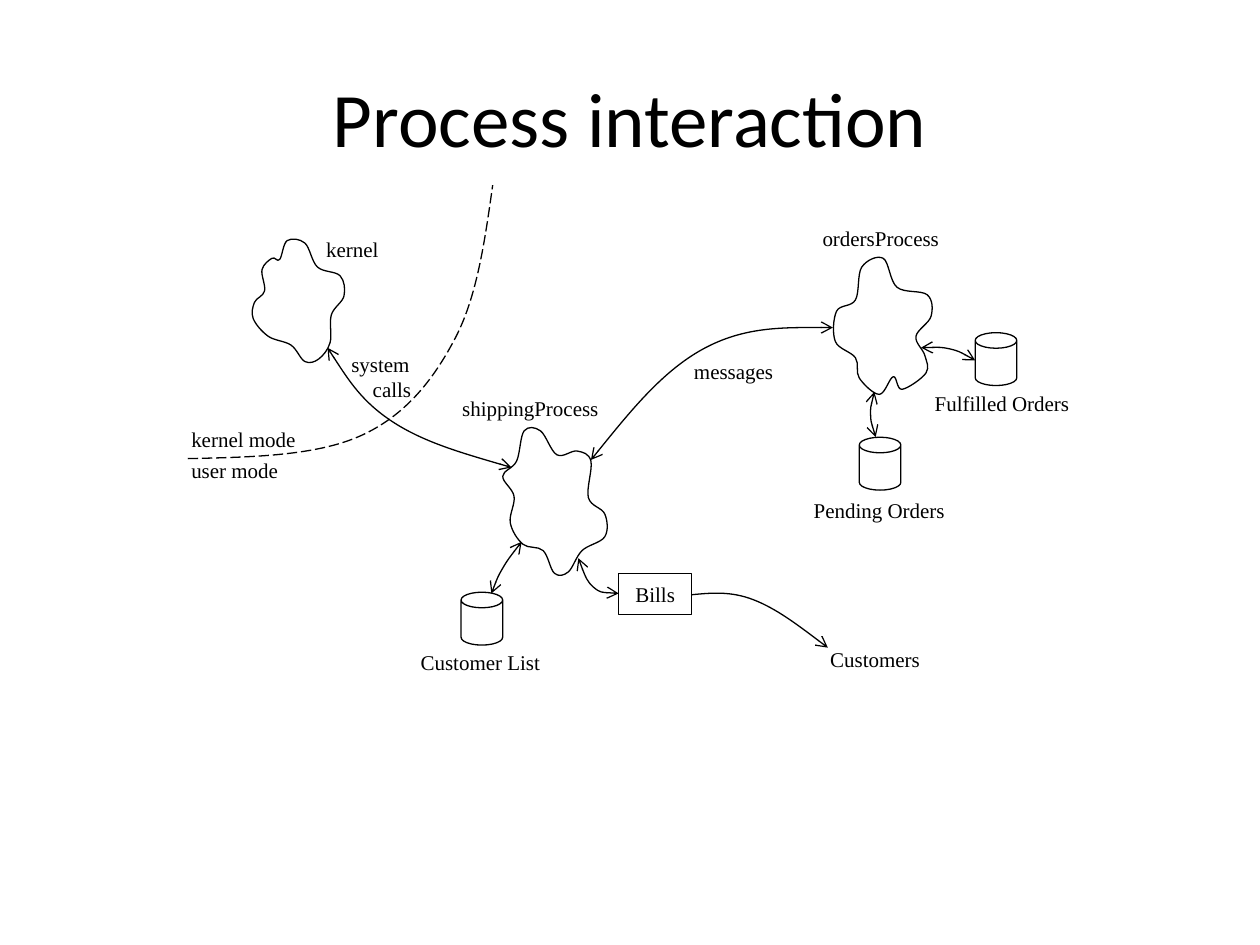
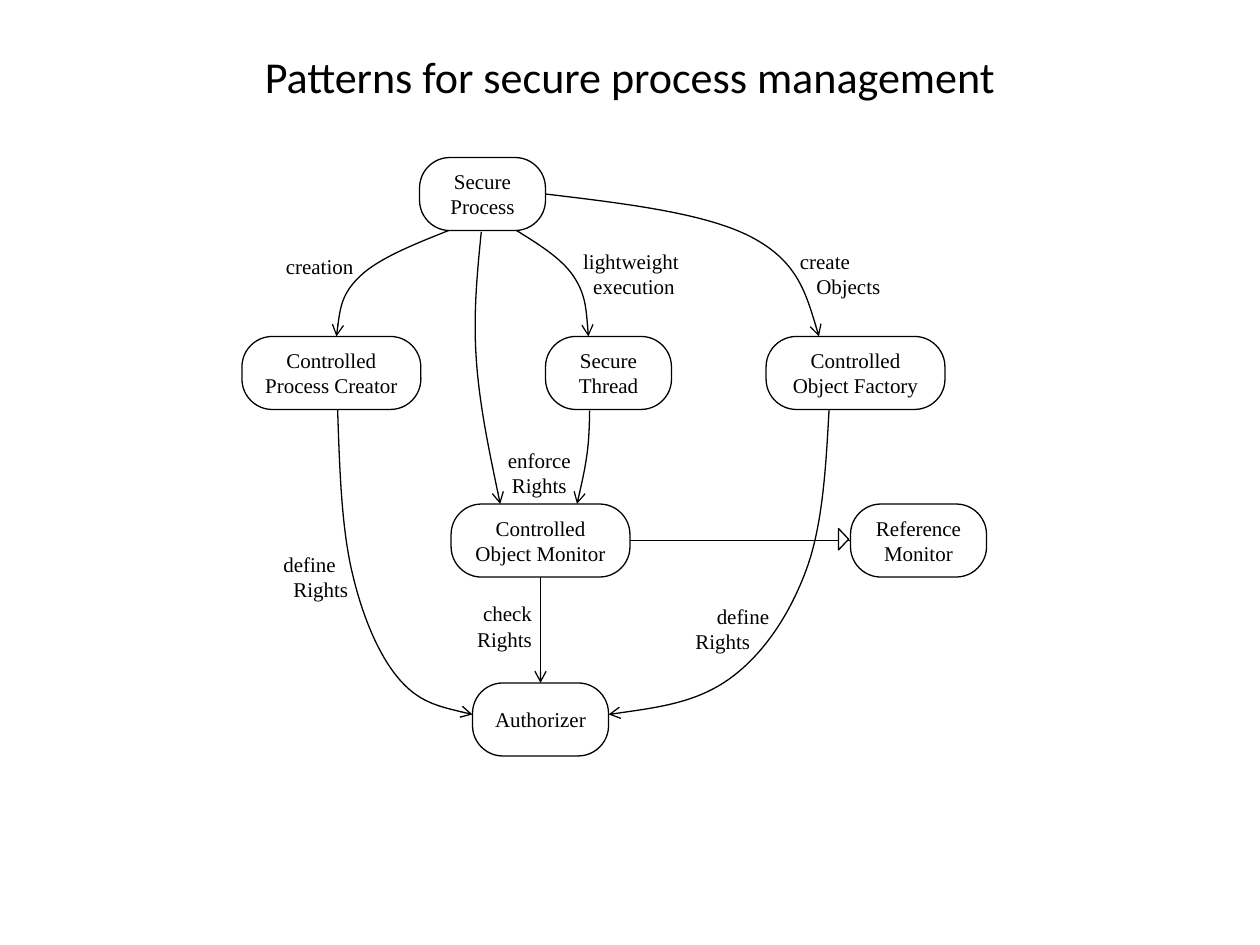
from dataclasses import dataclass
from pptx import Presentation
from pptx.dml.color import RGBColor
from pptx.enum.dml import MSO_LINE_DASH_STYLE as Dash
from pptx.enum.shapes import MSO_CONNECTOR as Link, MSO_SHAPE as Preset
from pptx.enum.text import MSO_ANCHOR as Anchor, MSO_AUTO_SIZE as Fit, PP_ALIGN as Align
from pptx.oxml.ns import qn
from pptx.slide import Slide
from pptx.util import Inches, Pt
from lxml.etree import SubElement

COLORS = {"ink": "000000", "paper": "FFFFFF"}
TITLE_FONT, DIAGRAM_FONT = "Calibri", "Times New Roman"
TITLE_ONLY = 5
BOTTOM, TOP, LEFT, RIGHT = 2, 0, 1, 3
Point = tuple[float, float]


@dataclass
class Label:
    lines: list[str]
    left: float
    top: float
    width: float
    align: Align = Align.LEFT
    indents: tuple[float, ...] = (0, 0)


@dataclass
class Node:
    lines: list[str]
    left: float
    top: float
    width: float
    height: float = 0.58
    preset: Preset = Preset.ROUNDED_RECTANGLE
    adjust: float | None = 0.417


@dataclass
class Curve:
    knots: list[Point]
    head: bool = False
    tail: bool = True
    closed: bool = False
    dashed: bool = False


def color(key: str) -> RGBColor:
    return RGBColor.from_string(COLORS[key])


def outline(shape) -> None:
    shape.line.color.rgb = color("ink")
    shape.line.width = Pt(0.75)


def add_arrowheads(shape, head: bool, tail: bool) -> None:
    ln = shape._element.spPr.find(qn("a:ln"))
    for tag, wanted in (("a:headEnd", head), ("a:tailEnd", tail)):
        if wanted:
            SubElement(ln, qn(tag)).set("type", "arrow")


def write(frame, lines: list[str], align: Align, font: str, size: float,
          indents: tuple[float, ...] = (0, 0)) -> None:
    frame.word_wrap = True
    for index, line in enumerate(lines):
        paragraph = frame.paragraphs[0] if index == 0 else frame.add_paragraph()
        paragraph.alignment = align
        if indents[index]:
            paragraph._p.get_or_add_pPr().set("marL", str(Inches(indents[index])))
        run = paragraph.add_run()
        run.text = line
        run.font.name = font
        run.font.size = Pt(size)
        run.font.color.rgb = color("ink")


def add_title(slide: Slide, text: str, size: float, left: float, top: float,
              width: float, anchor: Anchor, inset: float = 0.05) -> None:
    title = slide.shapes.title
    title.left, title.top = Inches(left), Inches(top)
    title.width, title.height = Inches(width), Inches(1.25)
    frame = title.text_frame
    frame.auto_size = Fit.NONE
    frame.vertical_anchor = anchor
    frame.margin_top = Inches(inset)
    write(frame, [text], Align.CENTER, TITLE_FONT, size)


def add_label(slide: Slide, label: Label) -> None:
    height = 0.3 if len(label.lines) == 1 else 0.51
    box = slide.shapes.add_textbox(Inches(label.left), Inches(label.top),
                                   Inches(label.width), Inches(height))
    write(box.text_frame, label.lines, label.align, DIAGRAM_FONT, 12, label.indents)


def add_node(slide: Slide, node: Node):
    shape = slide.shapes.add_shape(node.preset, Inches(node.left), Inches(node.top),
                                   Inches(node.width), Inches(node.height))
    shape.shadow.inherit = False
    shape.fill.solid()
    shape.fill.fore_color.rgb = color("paper")
    outline(shape)
    if node.adjust is not None:
        shape.adjustments[0] = node.adjust
    shape.text_frame.vertical_anchor = Anchor.MIDDLE
    write(shape.text_frame, node.lines, Align.CENTER, DIAGRAM_FONT, 12)
    return shape


def middle(a: Point, b: Point) -> Point:
    return (a[0] + b[0]) / 2, (a[1] + b[1]) / 2


def smooth(shape, closed: bool) -> None:
    segments = list(shape._element.iter(qn("a:lnTo")))
    knots = [(float(pt.get("x")), float(pt.get("y"))) for pt in shape._element.iter(qn("a:pt"))]
    before = knots[-2] if closed else knots[0]
    after = knots[1] if closed else knots[-1]
    padded = [before, *knots, after]
    last = len(segments) - 1
    for index, segment in enumerate(segments):
        p0, p1, p2, p3 = padded[index:index + 4]
        leave = tuple(b + (c - a) / 6 for a, b, c in zip(p0, p1, p2))
        arrive = tuple(b - (c - a) / 6 for a, b, c in zip(p1, p2, p3))
        if not closed and index == 0:
            leave = middle(p1, arrive)
        if not closed and index == last:
            arrive = middle(leave, p2)
        segment.clear()
        bezier = SubElement(segment.getparent(), qn("a:cubicBezTo"))
        segment.getparent().replace(segment, bezier)
        for x, y in (leave, arrive, p2):
            pt = SubElement(bezier, qn("a:pt"))
            pt.set("x", str(round(x)))
            pt.set("y", str(round(y)))


def add_curve(slide: Slide, curve: Curve) -> None:
    knots = [(Inches(x), Inches(y)) for x, y in curve.knots]
    builder = slide.shapes.build_freeform(*knots[0])
    builder.add_line_segments(knots[1:] + knots[:1] if curve.closed else knots[1:],
                              close=curve.closed)
    shape = builder.convert_to_shape()
    smooth(shape, curve.closed)
    shape.shadow.inherit = False
    if curve.closed:
        shape.fill.solid()
        shape.fill.fore_color.rgb = color("paper")
    else:
        shape.fill.background()
    outline(shape)
    if curve.dashed:
        shape.line.dash_style = Dash.LONG_DASH
    add_arrowheads(shape, curve.head, curve.tail)


def add_link(slide: Slide, source, source_side: int, target, target_side: int, tail: bool) -> None:
    link = slide.shapes.add_connector(Link.STRAIGHT, 0, 0, 0, 0)
    link.begin_connect(source, source_side)
    link.end_connect(target, target_side)
    outline(link)
    add_arrowheads(link, False, tail)
    SubElement(link._element.spPr, qn("a:effectLst"))


def blob(*knots: Point) -> Curve:
    return Curve(list(knots), tail=False, closed=True)


def exchange(*knots: Point) -> Curve:
    return Curve(list(knots), head=True)


def store(left: float, top: float) -> Node:
    return Node([], left, top, 0.33, 0.42, Preset.CAN, 0.375)


INTERACTION_CURVES = [
    blob((2.22, 2.06), (2.28, 1.91), (2.42, 1.93), (2.52, 2.12), (2.7, 2.19), (2.73, 2.35),
         (2.63, 2.5), (2.62, 2.72), (2.53, 2.85), (2.42, 2.87), (2.31, 2.74), (2.13, 2.67),
         (2.01, 2.53), (2.02, 2.4), (2.1, 2.31), (2.08, 2.14), (2.16, 2.05)),
    blob((4.1, 3.66), (4.16, 3.42), (4.29, 3.42), (4.42, 3.61), (4.58, 3.58), (4.69, 3.66),
         (4.67, 3.95), (4.8, 4.08), (4.8, 4.26), (4.62, 4.37), (4.51, 4.54), (4.4, 4.55),
         (4.31, 4.37), (4.15, 4.32), (4.05, 4.15), (4.08, 3.94), (3.99, 3.78)),
    blob((6.79, 2.84), (6.63, 2.71), (6.64, 2.47), (6.79, 2.38), (6.84, 2.12), (7.01, 2.05),
         (7.12, 2.28), (7.36, 2.34), (7.39, 2.51), (7.27, 2.67), (7.34, 2.82), (7.35, 2.96),
         (7.16, 3.09), (7.09, 2.99), (6.98, 3.13), (6.82, 3)),
    Curve([(1.49, 3.64), (2.86, 3.46), (3.61, 2.69), (3.91, 1.47)], tail=False, dashed=True),
    exchange((2.6, 2.76), (3.12, 3.35), (4.06, 3.71)),
    exchange((3.9, 4.71), (3.99, 4.51), (4.14, 4.3)),
    exchange((4.59, 4.43), (4.71, 4.66), (4.91, 4.71)),
    exchange((6.94, 3.11), (6.91, 3.29), (6.95, 3.47)),
    exchange((7.31, 2.76), (7.54, 2.77), (7.74, 2.86)),
    exchange((4.69, 3.65), (5.58, 2.77), (6.61, 2.6)),
    Curve([(5.49, 4.72), (5.98, 4.76), (6.57, 5.14)]),
]
INTERACTION_NODES = [
    store(3.66, 4.7), store(6.82, 3.47), store(7.74, 2.64),
    Node(["Bills"], 4.91, 4.55, 0.58, 0.33, Preset.RECTANGLE, None),
]
INTERACTION_LABELS = [
    Label(["kernel"], 2.49, 1.83, 0.83),
    Label(["shippingProcess"], 3.57, 3.09, 1.33),
    Label(["kernel mode"], 1.42, 3.34, 1.17),
    Label(["user mode"], 1.42, 3.58, 1.17),
    Label(["Customer List"], 3.24, 5.11, 1.33),
    Label(["ordersProcess"], 6.43, 1.74, 1.33),
    Label(["Pending Orders"], 6.36, 3.9, 1.33),
    Label(["Fulfilled Orders"], 7.32, 3.05, 1.33),
    Label(["messages"], 5.41, 2.8, 1.33),
    Label(["system", "calls"], 2.69, 2.74, 0.83, indents=(0, 0.17)),
    Label(["Customers"], 6.49, 5.08, 0.92),
]
PATTERN_NODES = {
    "process": Node(["Secure Process"], 3.33, 1.25, 1),
    "thread": Node(["Secure Thread"], 4.33, 2.67, 1),
    "factory": Node(["Controlled", "Object Factory"], 6.08, 2.67, 1.42),
    "creator": Node(["Controlled", "Process Creator"], 1.92, 2.67, 1.42),
    "monitor": Node(["Controlled", "Object Monitor"], 3.58, 4, 1.42),
    "authorizer": Node(["Authorizer"], 3.75, 5.42, 1.08),
    "reference": Node(["Reference Monitor"], 6.75, 4, 1.08),
}
PATTERN_CURVES = [
    Curve([(4.1, 1.83), (4.55, 2.19), (4.67, 2.67)]),
    Curve([(3.56, 1.83), (2.86, 2.19), (2.67, 2.67)]),
    Curve([(4.33, 1.54), (5.96, 1.88), (6.5, 2.67)]),
    Curve([(3.82, 1.84), (3.78, 2.85), (3.97, 4)]),
    Curve([(4.68, 3.26), (4.66, 3.6), (4.58, 4)]),
    Curve([(2.68, 3.25), (2.79, 4.52), (3.16, 5.38), (3.75, 5.67)]),
    Curve([(6.58, 3.25), (6.4, 4.52), (5.8, 5.38), (4.83, 5.67)]),
]
PATTERN_LABELS = [
    Label(["creation"], 2.17, 1.96, 1.08),
    Label(["define", "Rights"], 2.15, 4.33, 1.08, indents=(0, 0.08)),
    Label(["check", "Rights"], 3.4, 4.72, 0.92, Align.RIGHT),
    Label(["enforce", "Rights"], 3.82, 3.5, 0.92, Align.CENTER),
    Label(["lightweight", "execution"], 4.53, 1.92, 1.08, indents=(0, 0.08)),
    Label(["create", "Objects"], 6.25, 1.92, 1.08, indents=(0, 0.13)),
    Label(["define", "Rights"], 5.42, 4.74, 1.08, indents=(0.17, 0)),
]


def build_interaction(slide: Slide) -> None:
    add_title(slide, "Process interaction", 44, 0.5, 0.3, 9, Anchor.MIDDLE)
    for curve in INTERACTION_CURVES:
        add_curve(slide, curve)
    for node in INTERACTION_NODES:
        add_node(slide, node)
    for label in INTERACTION_LABELS:
        add_label(slide, label)


def build_patterns(slide: Slide) -> None:
    add_title(slide, "Patterns for secure process management", 25.2, 0.75, 0.28, 8.5,
              Anchor.TOP, 0.11)
    shapes = {key: add_node(slide, node) for key, node in PATTERN_NODES.items()}
    for curve in PATTERN_CURVES:
        add_curve(slide, curve)
    add_link(slide, shapes["monitor"], BOTTOM, shapes["authorizer"], TOP, True)
    add_link(slide, shapes["monitor"], RIGHT, shapes["reference"], LEFT, False)
    for label in PATTERN_LABELS:
        add_label(slide, label)
    inheritance = add_node(slide, Node([], 6.61, 4.24, 0.17, 0.08, Preset.ISOSCELES_TRIANGLE, None))
    inheritance.rotation = 90


def main() -> None:
    deck = Presentation()
    deck.slide_width, deck.slide_height = Inches(10), Inches(7.5)
    for build in (build_interaction, build_patterns):
        build(deck.slides.add_slide(deck.slide_layouts[TITLE_ONLY]))
    deck.save("out.pptx")


if __name__ == "__main__":
    main()
